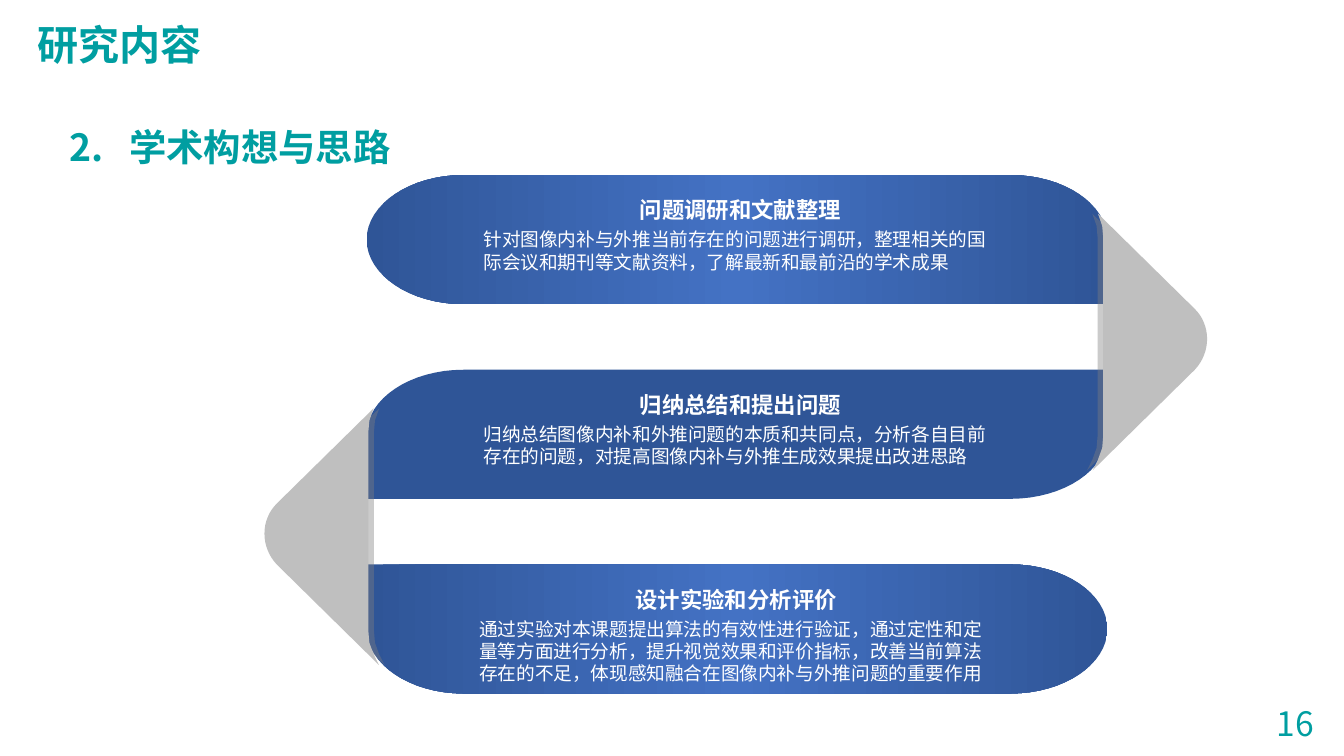
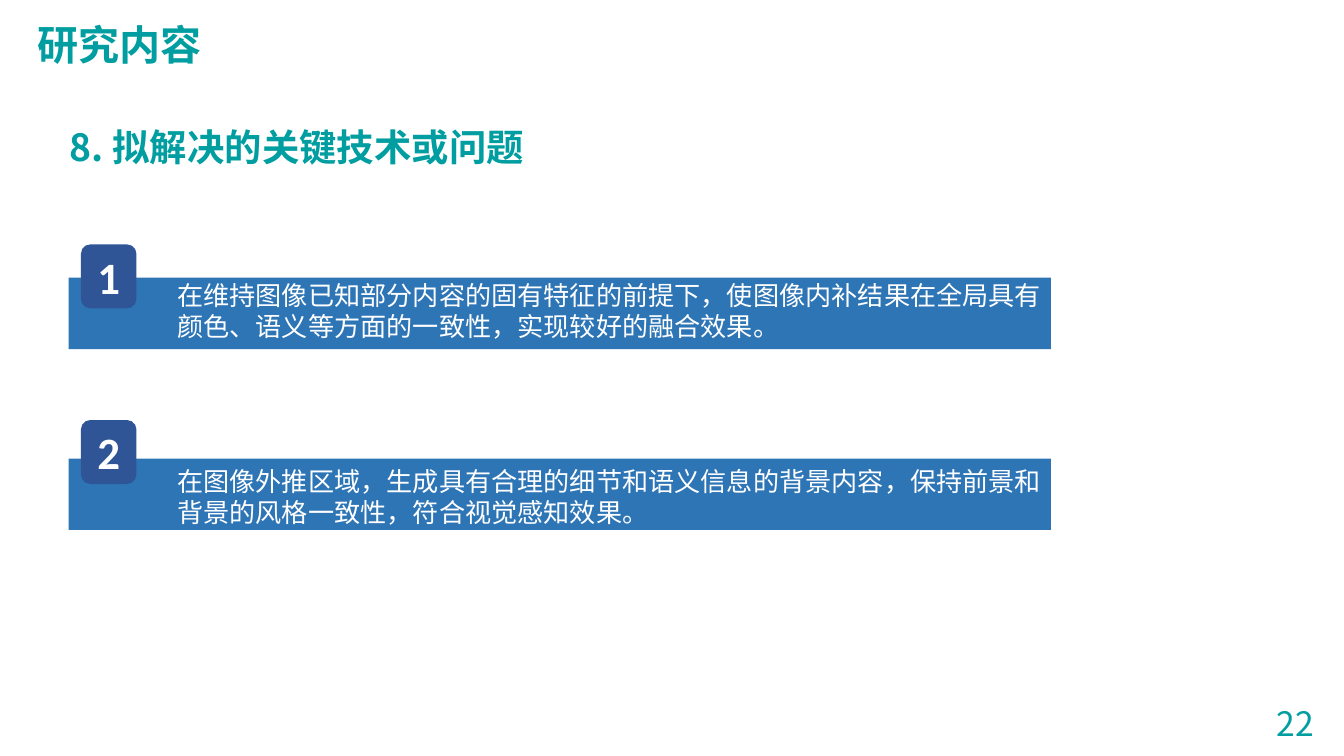
from copy import deepcopy
from dataclasses import dataclass

from lxml import etree
from pptx import Presentation
from pptx import util as u
from pptx.dml import color
from pptx.enum import shapes, text
from pptx.oxml import ns


@dataclass(frozen=True)
class Theme:
    """Colours, fonts and type sizes of the deck."""
    teal: str = "009EA1"
    navy: str = "2F5597"
    bright: str = "4472C4"
    blue: str = "2E75B6"
    grey: str = "BFBFBF"
    shade: str = "7F7F7F"
    white: str = "FFFFFF"
    heading_font: str = "Noto Sans CJK SC"
    body_font: str = "Calibri"
    alt_font: str = "Arial"
    title: int = 22
    section: int = 20
    page: int = 18
    badge: int = 24
    point: int = 14
    stage_title: int = 12
    stage_body: int = 10


THEME = Theme()
ALIGN = text.PP_ALIGN
SECTION_TAB = 1.12
STAGE_PITCH = 3.68
STAGE_SIZE = (14, 2.44)
CORNER = (1.83, 1.22)
POINT_PITCH = 3.42

STAGES = [
    ("问题调研和文献整理",
     "针对图像内补与外推当前存在的问题进行调研，整理相关的国际会议和期刊等文献资料，了解最新和最前沿的学术成果",
     dict(rounded="TL TR BL", gradient=True, caption_left=1.96, body_font=THEME.body_font)),
    ("归纳总结和提出问题",
     "归纳总结图像内补和外推问题的本质和共同点，分析各自目前存在的问题，对提高图像内补与外推生成效果提出改进思路",
     dict(rounded="TL BR", gradient=False, caption_left=1.96, body_font=THEME.body_font)),
    ("设计实验和分析评价",
     "通过实验对本课题提出算法的有效性进行验证，通过定性和定量等方面进行分析，提升视觉效果和评价指标，"
     "改善当前算法存在的不足，体现感知融合在图像内补与外推问题的重要作用",
     dict(rounded="TR BR BL", gradient=True, caption_left=1.88, body_font=THEME.alt_font)),
]

POINTS = [
    ("在维持图像已知部分内容的固有特征的前提下，使图像内补结果在全局具有颜色、语义等方面的一致性，实现较好的融合效果。",
     dict(badge_rise=0.63, text_drop=-0.1)),
    ("在图像外推区域，生成具有合理的细节和语义信息的背景内容，保持前景和背景的风格一致性，符合视觉感知效果。",
     dict(badge_rise=0.73, text_drop=0)),
]


def apply(target, formats):
    """Set each attribute named in formats on target."""
    for name, value in formats.items():
        setattr(target, name, value)


def write(paragraph, words, size, font, ink=THEME.white, bold=False, **layout):
    """Fill one paragraph with a single styled run."""
    apply(paragraph, layout)
    run = paragraph.add_run()
    run.text = words
    apply(run.font, dict(name=font, size=u.Pt(size), bold=bold))
    run.font.color.rgb = color.RGBColor.from_string(ink)
    if font == THEME.heading_font:
        etree.SubElement(run.font._element, ns.qn("a:ea"), typeface=font)


def text_frame(slide, left, top, width, height, wrap=True, grow=True):
    """Add a text box and return its frame."""
    frame = slide.shapes.add_textbox(*map(u.Cm, (left, top, width, height))).text_frame
    fit = text.MSO_AUTO_SIZE.SHAPE_TO_FIT_TEXT if grow else text.MSO_AUTO_SIZE.NONE
    apply(frame, dict(word_wrap=wrap, auto_size=fit))
    return frame


def paint(shape, fill):
    """Give a shape a flat fill without outline or shadow."""
    shape.fill.solid()
    shape.fill.fore_color.rgb = color.RGBColor.from_string(fill)
    shape.line.fill.background()
    shape.shadow.inherit = False


def paint_sheen(shape):
    """Fill a shape with navy edges and a bright middle."""
    shape.fill.gradient()
    shape.fill.gradient_angle = 0
    stops = shape._element.spPr.find(ns.qn("a:gradFill")).find(ns.qn("a:gsLst"))
    stops.insert(1, deepcopy(stops[0]))
    inks = (THEME.navy, THEME.bright, THEME.navy)
    for stop, position, ink in zip(shape.fill.gradient_stops, (0, 0.5, 1), inks):
        stop.position = position
        stop.color.rgb = color.RGBColor.from_string(ink)


def cast_shadow(shape, direction):
    """Add a sharp three-point shadow towards direction in degrees."""
    effects = shape._element.spPr.find(ns.qn("a:effectLst"))
    shadow = etree.SubElement(effects, ns.qn("a:outerShdw"), blurRad="0",
                              dist=str(u.Pt(3)), dir=str(direction * 60000), rotWithShape="0")
    ink = etree.SubElement(shadow, ns.qn("a:srgbClr"), val=THEME.shade)
    etree.SubElement(ink, ns.qn("a:alpha"), val="40000")


def curve(start, pull_out, pull_in, end, steps=16):
    """Return points along a cubic curve."""
    def at(t):
        weights = ((1 - t) ** 3, 3 * t * (1 - t) ** 2, 3 * t * t * (1 - t), t ** 3)
        return tuple(sum(w * v for w, v in zip(weights, axis))
                     for axis in zip(start, pull_out, pull_in, end))
    return [at(step / steps) for step in range(steps + 1)]


def outline(slide, left, top, points, fill):
    """Draw a closed outline from points relative to left and top."""
    first, *rest = [(u.Cm(x), u.Cm(y)) for x, y in points]
    builder = slide.shapes.build_freeform(*first)
    builder.add_line_segments(rest, close=True)
    shape = builder.convert_to_shape(u.Cm(left), u.Cm(top))
    paint(shape, fill)
    return shape


def bar_points(width, height, rounded):
    """Return a rectangle's outline with the named corners rounded."""
    rx, ry = CORNER
    corners = {
        "TL": ((0, 0), (0, ry), (rx, 0)),
        "TR": ((width, 0), (width - rx, 0), (width, ry)),
        "BR": ((width, height), (width, height - ry), (width - rx, height)),
        "BL": ((0, height), (rx, height), (0, height - ry)),
    }
    points = []
    for name, (tip, start, end) in corners.items():
        if name in rounded.split():
            pulls = [tuple(a + 0.55 * (t - a) for a, t in zip(edge, tip)) for edge in (start, end)]
            points += curve(start, *pulls, end)
        else:
            points.append(tip)
    return points


def stage_bar(slide, left, top, rounded, gradient):
    """Draw the bar behind one stage."""
    bar = outline(slide, left, top, bar_points(*STAGE_SIZE, rounded), THEME.navy)
    if gradient:
        paint_sheen(bar)


def turn_arrow(slide, left, top, side):
    """Draw the fold that leads to the next stage; side is 1 right or -1 left."""
    tip = curve((1.93, 1.8), (2.24, 2.11), (2.24, 2.62), (1.93, 2.95))
    fold = [(0, 4.85), (0.1, 4.65), (0.18, 4.43), (0.2, 4.19), (0.2, 0.46), (0.18, 0.23)]
    points = [(side * x, y) for x, y in [(0.1, 0), *tip, *fold]]
    arrow = outline(slide, left, top, points, THEME.grey)
    cast_shadow(arrow, 180 if side > 0 else 0)


def stage_caption(slide, left, top, heading, body, body_font):
    """Write the heading and description of one stage."""
    frame = text_frame(slide, left, top, 10.21, 1.88, grow=False)
    write(frame.paragraphs[0], heading, THEME.stage_title, THEME.heading_font,
          bold=True, alignment=ALIGN.CENTER)
    write(frame.add_paragraph(), body, THEME.stage_body, body_font, space_before=u.Pt(2.5))


def stage_flow(slide, left, top):
    """Place the three stages and the two folds between them."""
    tops = [top + STAGE_PITCH * row for row in range(len(STAGES))]
    for stage_top, (_, _, look) in zip(tops, STAGES):
        stage_bar(slide, left, stage_top, look["rounded"], look["gradient"])
    for stage_top, offset, side in zip(tops, (13.72, 0.23), (1, -1)):
        turn_arrow(slide, left + offset, stage_top + 0.73, side)
    for stage_top, (heading, body, look) in zip(tops, STAGES):
        stage_caption(slide, left + look["caption_left"], stage_top + 0.28,
                      heading, body, look["body_font"])


def key_point(slide, left, top, number, words, badge_rise, text_drop):
    """Place one numbered band with its text."""
    kinds = shapes.MSO_SHAPE
    band = slide.shapes.add_shape(kinds.RECTANGLE, *map(u.Cm, (left, top, 18.56, 1.35)))
    paint(band, THEME.blue)
    badge = slide.shapes.add_shape(kinds.ROUNDED_RECTANGLE,
                                   *map(u.Cm, (left + 0.23, top - badge_rise, 1.05, 1.21)))
    badge.adjustments[0] = 0.17
    paint(badge, THEME.navy)
    badge.text_frame.vertical_anchor = text.MSO_ANCHOR.MIDDLE
    write(badge.text_frame.paragraphs[0], str(number), THEME.badge, THEME.body_font,
          bold=True, alignment=ALIGN.CENTER)
    frame = text_frame(slide, left + 1.8, top + text_drop, 17.3, 1.45)
    write(frame.paragraphs[0], words, THEME.point, THEME.body_font)


def key_points(slide, left, top):
    """Stack the numbered bands."""
    for row, (words, offsets) in enumerate(POINTS):
        key_point(slide, left, top + POINT_PITCH * row, row + 1, words, **offsets)


def content_slide(deck, section, section_width, page):
    """Add a slide with the shared title, section heading and page number."""
    slide = deck.slides.add_slide(deck.slide_layouts[6])
    style = dict(font=THEME.heading_font, ink=THEME.teal)
    title = text_frame(slide, 0.46, 0.25, 3.61, 1.19, wrap=False)
    write(title.paragraphs[0], "研究内容", THEME.title, bold=True, **style)
    heading = text_frame(slide, 1.07, 1.8, section_width, 1.52).paragraphs[0]
    apply(heading, dict(alignment=ALIGN.JUSTIFY, line_spacing=1.5, space_after=u.Pt(12)))
    tabs = etree.SubElement(heading._p.get_or_add_pPr(), ns.qn("a:tabLst"))
    etree.SubElement(tabs, ns.qn("a:tab"), pos=str(u.Cm(SECTION_TAB)), algn="l")
    write(heading, section, THEME.section, bold=True, **style)
    number = text_frame(slide, 23.88, 13.16, 1.27, 1.02, wrap=False)
    write(number.paragraphs[0], str(page), THEME.page, **style)
    return slide


def main():
    """Build the two slides and save the deck."""
    deck = Presentation()
    apply(deck, dict(slide_width=u.Cm(25.4), slide_height=u.Cm(14.29)))
    stage_flow(content_slide(deck, "2.\t学术构想与思路", 23.5, 16), 6.93, 3.31)
    key_points(content_slide(deck, "8. 拟解决的关键技术或问题", 10.62, 22), 1.3, 5.25)
    deck.save("out.pptx")


if __name__ == "__main__":
    main()
